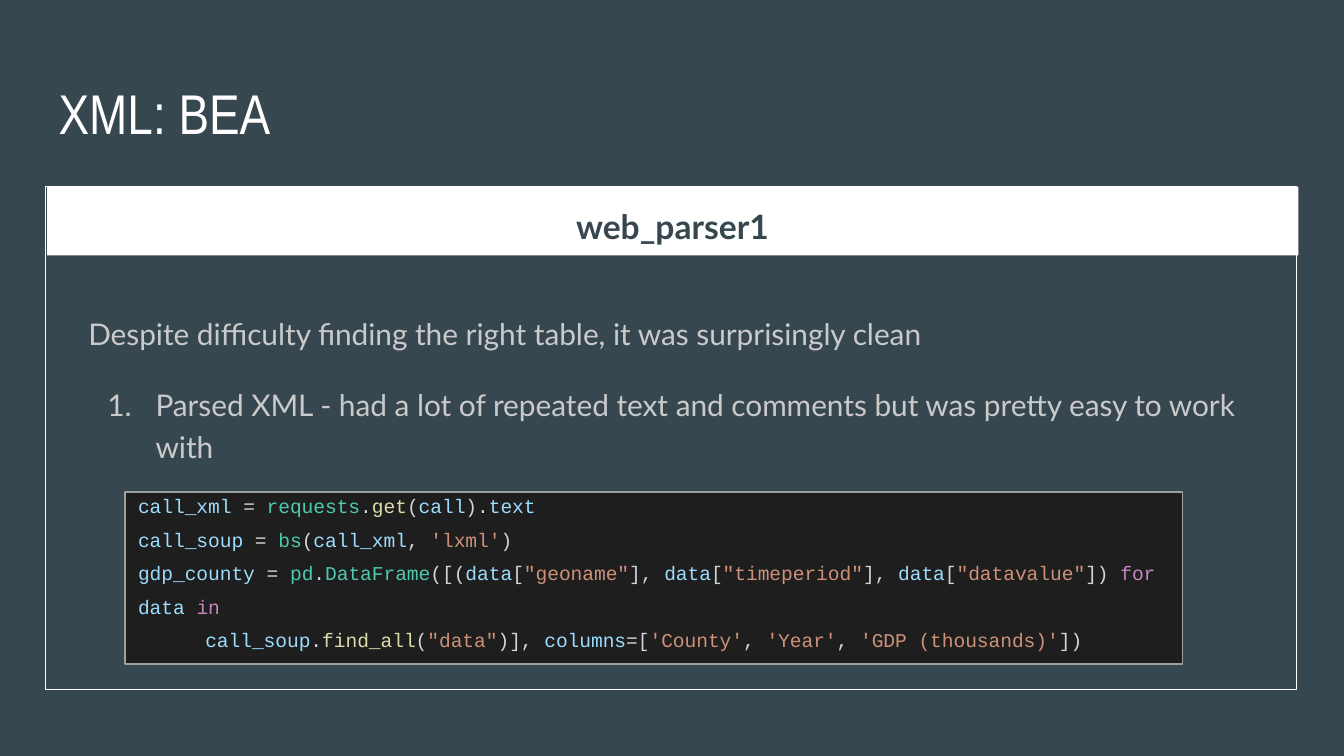
from lxml.etree import SubElement
from pptx import Presentation
from pptx.dml.color import RGBColor
from pptx.enum.shapes import MSO_SHAPE as Shape
from pptx.enum.text import MSO_ANCHOR as Anchor, PP_ALIGN as Align
from pptx.oxml.ns import qn
from pptx.util import Cm, Pt

WHITE, SLATE, GREY = "FFFFFF", "37474F", "CACACA"
SYNTAX = {"var": "9CDCFE", "op": "D4D4D4", "type": "4EC9B0",
          "func": "DCDCAA", "str": "CE9178", "key": "C586C0"}

TITLE = "XML: BEA"
HEADING = "web_parser1"
INTRO = "Despite difficulty finding the right table, it was surprisingly clean"
STEP = ("Parsed XML - had a lot of repeated text and comments "
        "but was pretty easy to work with")
CODE = [
    [("var", "call_xml"), ("op", " = "), ("type", "requests"), ("op", "."),
     ("func", "get"), ("op", "("), ("var", "call"), ("op", ")."), ("var", "text")],
    [("var", "call_soup"), ("op", " = "), ("type", "bs"), ("op", "("),
     ("var", "call_xml"), ("op", ", "), ("str", "'lxml'"), ("op", ")")],
    [("var", "gdp_county"), ("op", " = "), ("type", "pd"), ("op", "."),
     ("type", "DataFrame"), ("op", "([("),
     ("var", "data"), ("op", "["), ("str", '"geoname"'), ("op", "], "),
     ("var", "data"), ("op", "["), ("str", '"timeperiod"'), ("op", "], "),
     ("var", "data"), ("op", "["), ("str", '"datavalue"'), ("op", "]) "),
     ("key", "for "), ("var", "data "), ("key", "in")],
    [("var", "call_soup"), ("op", "."), ("func", "find_all"), ("op", "("),
     ("str", '"data"'), ("op", ")], "), ("var", "columns"), ("op", "=["),
     ("str", "'County'"), ("op", ", "), ("str", "'Year'"), ("op", ", "),
     ("str", "'GDP (thousands)'"), ("op", "])")],
]

# left, top, width, height in cm
TITLE_BOX = (0.86, 1.24, 23.67, 1.6)
BANNER_BOX = (0.89, 3.53, 23.65, 1.3)
FRAME_BOX = (0.86, 3.53, 23.65, 9.5)
HEADING_BOX = (1.42, 3.53, 22.58, 1.27)
BODY_BOX = (1.42, 5.05, 22.58, 7.77)
CODE_BOX = (2.36, 9.3, 19.99, 3.25)

TITLE_FONT = {"name": "Arial Narrow", "size": Pt(30)}
HEADING_FONT = {"name": "Lato", "size": Pt(18), "bold": True}
BODY_FONT = {"name": "Lato", "size": Pt(16)}
CODE_FONT = {"name": "Courier New", "size": Pt(10.5)}


def rgb(value):
    return RGBColor.from_string(value)


def apply(target, formats):
    for key, value in formats.items():
        setattr(target, key, value)


def prepare_frame(frame, **formats):
    apply(frame, {"word_wrap": True, "vertical_anchor": Anchor.TOP,
                  "margin_left": Cm(0.25), "margin_right": Cm(0.25),
                  "margin_top": Cm(0.25), "margin_bottom": Cm(0.25), **formats})
    return frame


def add_rect(slide, box, fill=None, line=None):
    rect = slide.shapes.add_shape(Shape.RECTANGLE, *map(Cm, box))
    rect.shadow.inherit = False
    if fill:
        rect.fill.solid()
        rect.fill.fore_color.rgb = rgb(fill)
    else:
        rect.fill.background()
    if line:
        rect.line.color.rgb = rgb(line)
        rect.line.width = Pt(0.75)
    else:
        rect.line.fill.background()
    return rect


def add_text_frame(slide, box):
    return prepare_frame(slide.shapes.add_textbox(*map(Cm, box)).text_frame)


def write(paragraph, runs, font, **formats):
    """Fill a paragraph with (colour, text) runs."""
    apply(paragraph, {"alignment": Align.LEFT, **formats})
    for color, text in runs:
        run = paragraph.add_run()
        run.text = text
        apply(run.font, font)
        run.font.color.rgb = rgb(color)


def indent(paragraph, left, first):
    properties = paragraph._p.get_or_add_pPr()
    properties.set("marL", str(Cm(left)))
    properties.set("indent", str(Cm(first)))
    return properties


def number(paragraph, color):
    properties = indent(paragraph, 1.27, -0.91)
    bullet_color = SubElement(properties, qn("a:buClr"))
    SubElement(bullet_color, qn("a:srgbClr"), val=color)
    SubElement(properties, qn("a:buAutoNum"), type="arabicPeriod")


def main():
    deck = Presentation()
    deck.slide_width, deck.slide_height = Cm(25.4), Cm(14.29)
    slide = deck.slides.add_slide(deck.slide_layouts[6])
    slide.background.fill.solid()
    slide.background.fill.fore_color.rgb = rgb(SLATE)

    title = add_text_frame(slide, TITLE_BOX)
    write(title.paragraphs[0], [(WHITE, TITLE)], TITLE_FONT)

    add_rect(slide, BANNER_BOX, fill=WHITE)
    add_rect(slide, FRAME_BOX, line=WHITE)
    heading = add_text_frame(slide, HEADING_BOX)
    write(heading.paragraphs[0], [(SLATE, HEADING)], HEADING_FONT,
          alignment=Align.CENTER, line_spacing=1.15)

    body = add_text_frame(slide, BODY_BOX)
    write(body.paragraphs[0], [(GREY, INTRO)], BODY_FONT, line_spacing=2.0)
    step = body.add_paragraph()
    write(step, [(GREY, STEP)], BODY_FONT, line_spacing=1.15, space_before=Pt(16))
    number(step, GREY)

    panel = add_rect(slide, CODE_BOX, fill="1E1E1E", line="9E9E9E")
    code = prepare_frame(panel.text_frame, margin_top=Cm(0.04))
    for row, tokens in enumerate(CODE):
        line = code.add_paragraph() if row else code.paragraphs[0]
        write(line, [(SYNTAX[kind], text) for kind, text in tokens], CODE_FONT,
              line_spacing=1.43 if row else 1.0)
    indent(line, 0, 1.27)

    deck.save("out.pptx")


if __name__ == "__main__":
    main()
